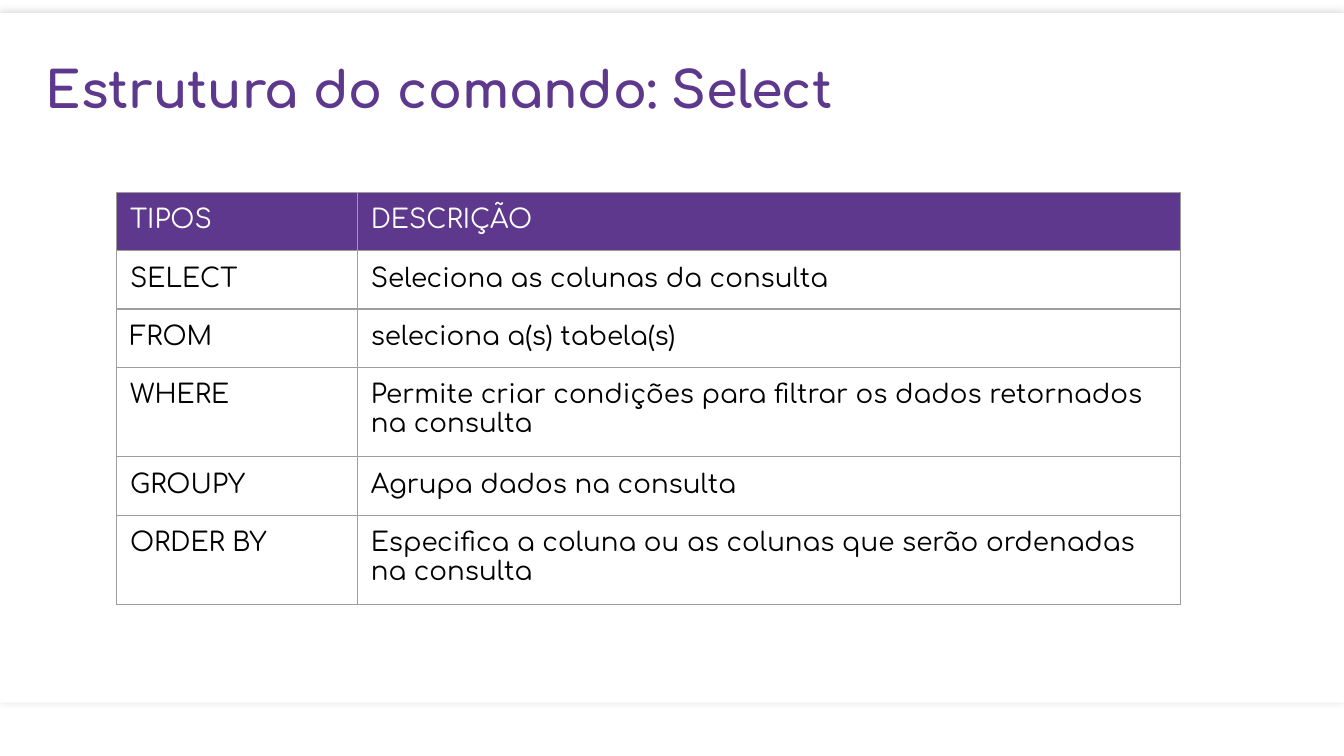
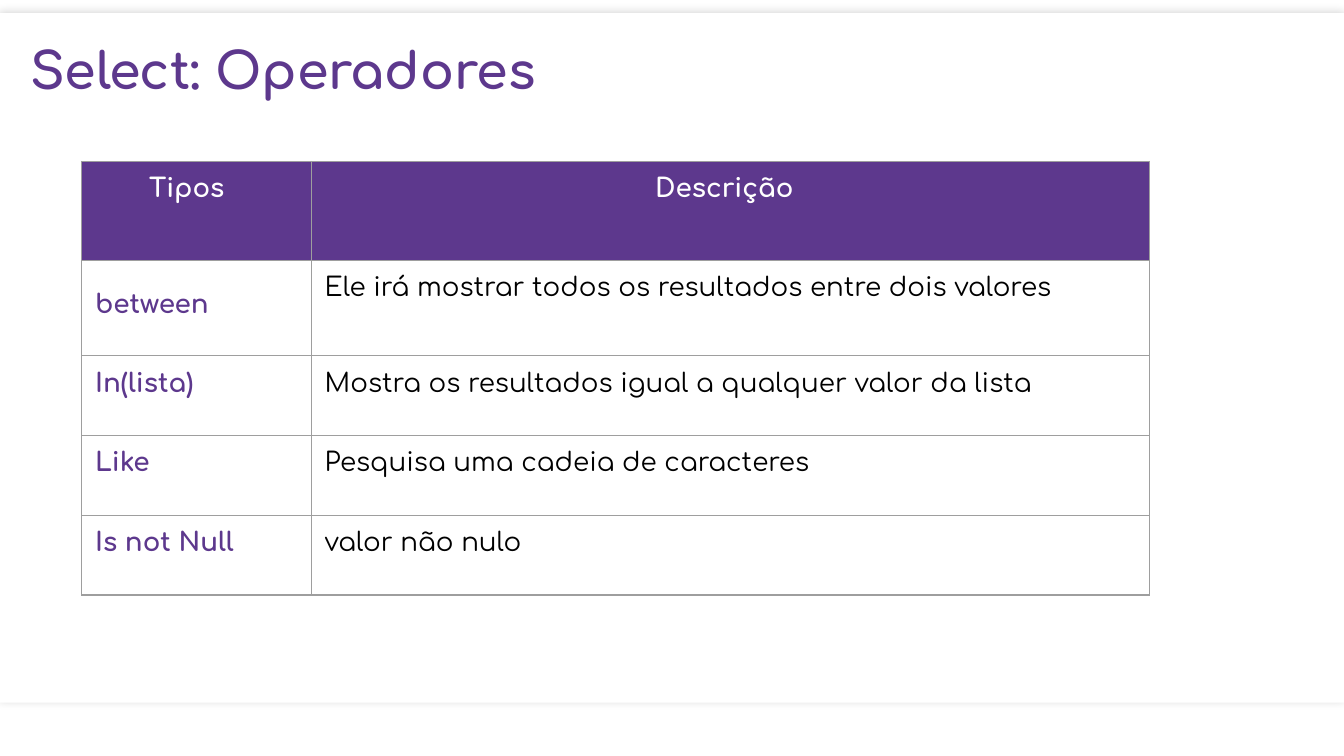
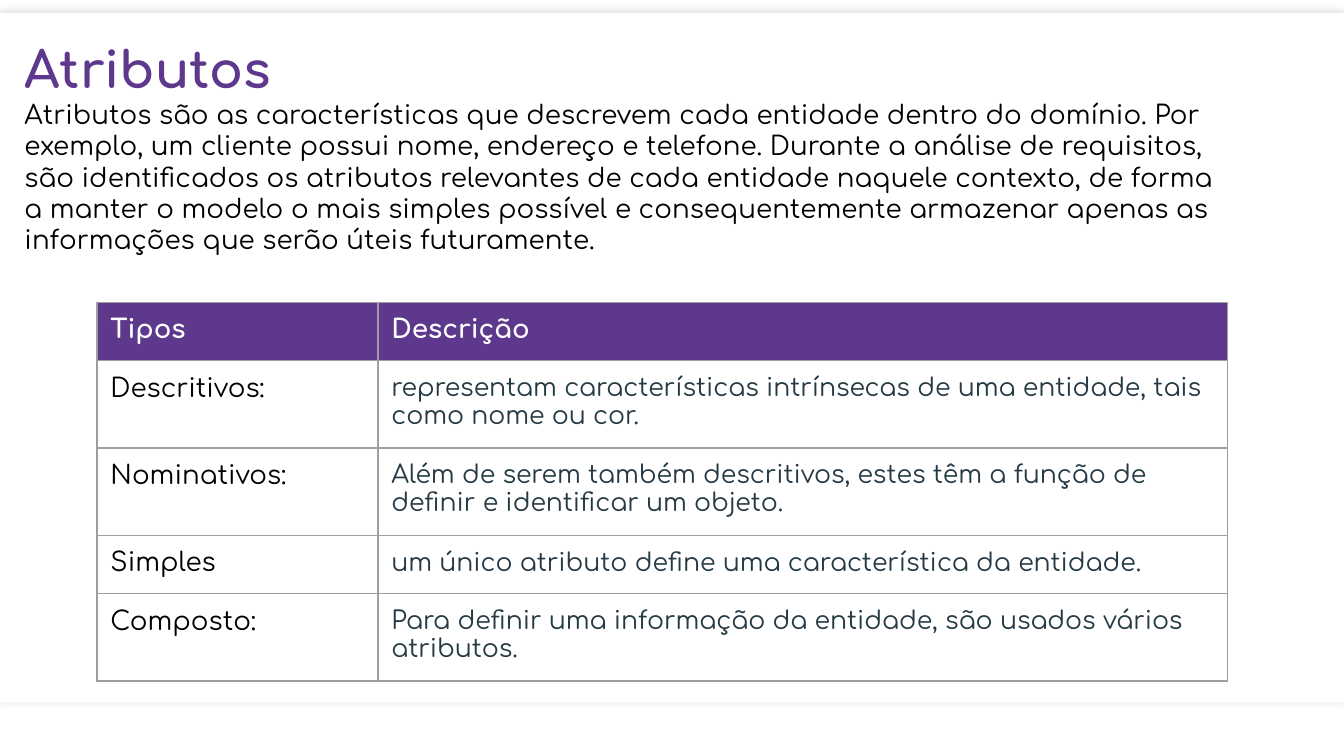
from lxml import etree
from pptx import Presentation
from pptx.dml.color import RGBColor
from pptx.enum.shapes import MSO_SHAPE
from pptx.enum.text import MSO_AUTO_SIZE
from pptx.oxml import parse_xml
from pptx.oxml.ns import nsdecls, qn
from pptx.util import Pt

RECTANGLE = MSO_SHAPE.RECTANGLE
GROW_TO_FIT = MSO_AUTO_SIZE.SHAPE_TO_FIT_TEXT

FONT = "Comfortaa"
PURPLE = "5D388D"
WHITE = "FFFFFF"
BLACK = "000000"
SLATE = "253A44"
BORDER = "9E9E9E"
INSET = Pt(7.2)
SLIDE_WIDTH, SLIDE_HEIGHT = Pt(720), Pt(405)

COMMANDS = [
    ("TIPOS", "DESCRIÇÃO"),
    ("SELECT", "Seleciona as colunas da consulta"),
    ("FROM", "seleciona a(s) tabela(s)"),
    ("WHERE", "Permite criar condições para filtrar os dados retornados na consulta"),
    ("GROUPY", "Agrupa dados na consulta"),
    ("ORDER BY", "Especifica a coluna ou as colunas que serão ordenadas na consulta"),
]
OPERATORS = [
    ("Tipos", "Descrição"),
    ("between", "Ele irá mostrar todos os resultados entre dois valores"),
    ("In(lista)", "Mostra os resultados igual a qualquer valor da lista"),
    ("Like", "Pesquisa uma cadeia de caracteres"),
    ("Is not Null", "valor não nulo"),
]
ATTRIBUTES = [
    ("Tipos", "Descrição"),
    ("Descritivos:", "representam características intrínsecas de uma entidade, tais como nome ou cor."),
    ("Nominativos:", "Além de serem também descritivos, estes têm a função de definir e identificar um objeto."),
    ("Simples", "um único atributo define uma característica da entidade."),
    ("Composto:", "Para definir uma informação da entidade, são usados vários atributos."),
]
ATTRIBUTES_INTRO = (
    "Atributos são as características que descrevem cada entidade dentro do domínio. "
    "Por exemplo, um cliente possui nome, endereço e telefone. Durante a análise de "
    "requisitos, são identificados os atributos relevantes de cada entidade naquele "
    "contexto, de forma a manter o modelo o mais simples possível e consequentemente "
    "armazenar apenas as informações que serão úteis futuramente."
)


def rgb(color):
    return RGBColor.from_string(color)


def style_text(text_frame, size, color, bold=False):
    for run in text_frame.paragraphs[0].runs:
        run.font.name = FONT
        run.font.size = Pt(size)
        run.font.bold = bold
        run.font.color.rgb = rgb(color)


def add_panel(slide):
    panel = slide.shapes.add_shape(RECTANGLE, 0, Pt(7), SLIDE_WIDTH, Pt(369.5))
    panel.fill.solid()
    panel.fill.fore_color.rgb = rgb(WHITE)
    panel.line.fill.background()
    panel.shadow.inherit = False
    effects = panel._element.spPr.find(qn("a:effectLst"))
    shadow = etree.SubElement(effects, qn("a:outerShdw"), blurRad=str(Pt(5)), dist="0", algn="ctr")
    color = etree.SubElement(shadow, qn("a:srgbClr"), val=BLACK)
    etree.SubElement(color, qn("a:alpha"), val="16000")


def add_text(slide, text, left, top, width, height, size, color, bold=False):
    box = slide.shapes.add_textbox(Pt(left), Pt(top), Pt(width), Pt(height))
    frame = box.text_frame
    frame.word_wrap = True
    frame.auto_size = GROW_TO_FIT
    frame.margin_left = frame.margin_right = INSET
    frame.margin_top = frame.margin_bottom = INSET
    frame.text = text
    style_text(frame, size, color, bold)


def add_title(slide, text, left, top, width):
    add_text(slide, text, left, top, width, 47.5, 27, PURPLE, True)


def add_borders(cell):
    properties = cell._tc.get_or_add_tcPr()
    for side in ("lnL", "lnR", "lnT", "lnB"):
        properties.append(parse_xml(
            f'<a:{side} {nsdecls("a")} w="{Pt(0.75)}"><a:solidFill>'
            f'<a:srgbClr val="{BORDER}"/></a:solidFill></a:{side}>'
        ))


def fill_cell(cell, text, size, color, bold, fill):
    cell.margin_left = cell.margin_right = INSET
    cell.margin_top = cell.margin_bottom = INSET
    add_borders(cell)
    if fill:
        cell.fill.solid()
        cell.fill.fore_color.rgb = rgb(fill)
    else:
        cell.fill.background()
    cell.text = text
    style_text(cell.text_frame, size, color, bold)


def add_table(slide, rows, left, top, widths, heights, body_styles, header_bold=True, body_fill=None):
    frame = slide.shapes.add_table(
        len(rows), len(widths), Pt(left), Pt(top), Pt(sum(widths)), Pt(sum(heights))
    )
    table = frame.table
    table.first_row = table.horz_banding = False
    for column, width in zip(table.columns, widths):
        column.width = Pt(width)
    for row, height in zip(table.rows, heights):
        row.height = Pt(height)
    for row_index, texts in enumerate(rows):
        for column_index, text in enumerate(texts):
            cell = table.cell(row_index, column_index)
            if row_index == 0:
                fill_cell(cell, text, 14, WHITE, header_bold, PURPLE)
            else:
                fill_cell(cell, text, *body_styles[column_index], body_fill)
    return table


def indent_header(table, indents):
    for column_index, indent in enumerate(indents):
        paragraph = table.cell(0, column_index).text_frame.paragraphs[0]
        paragraph._p.get_or_add_pPr().set("marL", str(Pt(indent)))


def add_slide(presentation):
    slide = presentation.slides.add_slide(presentation.slide_layouts[6])
    slide.background.fill.solid()
    slide.background.fill.fore_color.rgb = rgb(WHITE)
    add_panel(slide)
    return slide


def build_commands(presentation):
    slide = add_slide(presentation)
    add_title(slide, "Estrutura do comando: Select", 17.5, 24, 453)
    plain = (14, BLACK, False)
    add_table(slide, COMMANDS, 62.5, 103, (129, 441), [30.5] * 6, (plain, plain), header_bold=False)


def build_operators(presentation):
    slide = add_slide(presentation)
    add_title(slide, "Select: Operadores", 9, 14, 351)
    table = add_table(
        slide, OPERATORS, 43.75, 86.5, (123, 449), [53, 51] + [42.75] * 3,
        ((14, PURPLE, True), (14, BLACK, False)), body_fill=WHITE,
    )
    indent_header(table, (29, 177))
    table.cell(1, 0).text_frame.paragraphs[0].line_spacing = 1.58


def build_attributes(presentation):
    slide = add_slide(presentation)
    add_title(slide, "Atributos", 6, 13, 236)
    add_text(slide, ATTRIBUTES_INTRO, 6, 45.5, 654.5, 99.5, 14, BLACK)
    add_table(
        slide, ATTRIBUTES, 52, 162, (150.5, 455), (30.5, 45.5, 45.5, 30.5, 45.5),
        ((14, BLACK, False), (13.5, SLATE, False)),
    )


def main():
    presentation = Presentation()
    presentation.slide_width = SLIDE_WIDTH
    presentation.slide_height = SLIDE_HEIGHT
    build_commands(presentation)
    build_operators(presentation)
    build_attributes(presentation)
    presentation.save("out.pptx")


if __name__ == "__main__":
    main()
